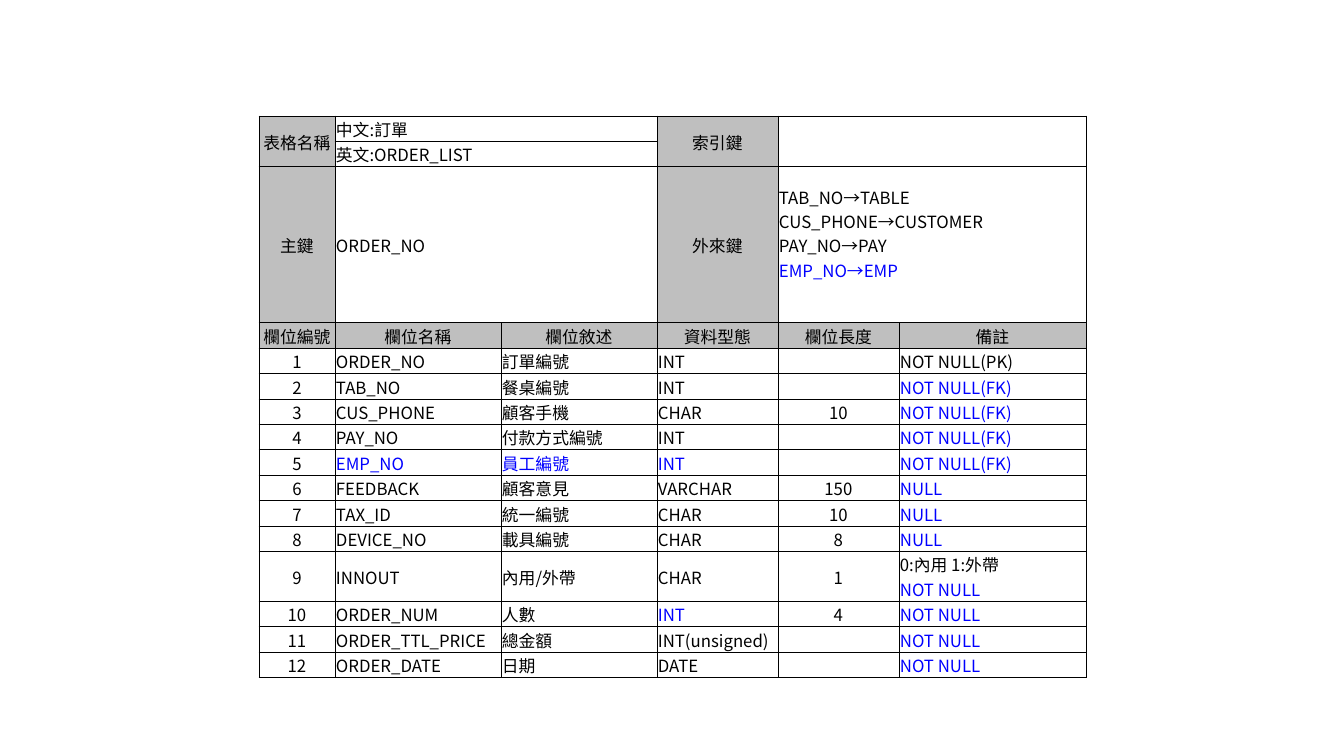
from lxml.etree import SubElement
from pptx import Presentation
from pptx.dml.color import RGBColor as RGB
from pptx.enum.text import MSO_ANCHOR as ANCHOR, PP_ALIGN as ALIGN
from pptx.oxml import parse_xml
from pptx.oxml.ns import nsdecls, qn
from pptx.util import Pt

SCALE = 914400 / 100.8
BLACK, BLUE = RGB(0, 0, 0), RGB(0, 0, 255)
GREY, WHITE = RGB(191, 191, 191), RGB(255, 255, 255)
FONT, SIZE = "Noto Sans CJK SC", 12
BLUE_MARK = "*"
COL_WIDTHS = [76, 166, 156, 121, 121, 187]
ROW_HEIGHT, KEY_ROW, KEY_HEIGHT = 22, 2, 156
LABEL_COLS, CENTRED_COLS = (0, 3), (0, 4)
MERGES = [(0, 0, 1, 0), (0, 1, 0, 2), (1, 1, 1, 2), (0, 3, 1, 3),
          (0, 4, 1, 5), (2, 1, 2, 2), (2, 4, 2, 5)]
KEYS = [
    ["表格名稱", "中文:訂單", "", "索引鍵", "", ""],
    ["", "英文:ORDER_LIST", "", "", "", ""],
    ["主鍵", "ORDER_NO", "", "外來鍵",
     "TAB_NO→TABLE\nCUS_PHONE→CUSTOMER\nPAY_NO→PAY\n*EMP_NO→EMP", ""],
]
HEADINGS = ["欄位編號", "欄位名稱", "欄位敘述", "資料型態", "欄位長度", "備註"]
FIELDS = [
    ["ORDER_NO", "訂單編號", "INT", "", "NOT NULL(PK)"],
    ["TAB_NO", "餐桌編號", "INT", "", "*NOT NULL(FK)"],
    ["CUS_PHONE", "顧客手機", "CHAR", "10", "*NOT NULL(FK)"],
    ["PAY_NO", "付款方式編號", "INT", "", "*NOT NULL(FK)"],
    ["*EMP_NO", "*員工編號", "*INT", "", "*NOT NULL(FK)"],
    ["FEEDBACK", "顧客意見", "VARCHAR", "150", "*NULL"],
    ["TAX_ID", "統一編號", "CHAR", "10", "*NULL"],
    ["DEVICE_NO", "載具編號", "CHAR", "8", "*NULL"],
    ["INNOUT", "內用/外帶", "CHAR", "1", "0:內用 1:外帶\n*NOT NULL"],
    ["ORDER_NUM", "人數", "*INT", "4", "*NOT NULL"],
    ["ORDER_TTL_PRICE", "總金額", "INT(unsigned)", "", "*NOT NULL"],
    ["ORDER_DATE", "日期", "DATE", "", "*NOT NULL"],
]


def px(n):
    """Turn pixels into EMU."""
    return round(n * SCALE)


def set_attrs(obj, values):
    """Set each attribute named in a dict."""
    for name, value in values.items():
        setattr(obj, name, value)


def add_line(p, line, align):
    """Write one line of cell text, blue when marked."""
    p.alignment = align
    if line:
        r = p.add_run()
        r.text = line.removeprefix(BLUE_MARK)
        set_attrs(r.font, {"name": FONT, "size": Pt(SIZE)})
        r.font.color.rgb = BLUE if line.startswith(BLUE_MARK) else BLACK
        SubElement(r.font._element, qn("a:ea"), typeface=FONT)
    SubElement(p._p, qn("a:endParaRPr"), sz=str(SIZE * 100))


def add_borders(cell):
    """Draw a thin black line on all four sides of a cell."""
    tc_pr = cell._tc.get_or_add_tcPr()
    for i, side in enumerate("LRTB"):
        tc_pr.insert(i, parse_xml(
            f'<a:ln{side} {nsdecls("a")} w="{Pt(0.5)}"><a:solidFill>'
            f'<a:srgbClr val="{BLACK}"/></a:solidFill></a:ln{side}>'))


def fill_cell(cell, text, fill, align):
    """Format one cell and write its lines."""
    set_attrs(cell, {"margin_left": px(1), "margin_right": px(1),
                     "margin_top": px(1), "margin_bottom": 0,
                     "vertical_anchor": ANCHOR.MIDDLE})
    cell.fill.solid()
    cell.fill.fore_color.rgb = fill
    add_borders(cell)
    tf = cell.text_frame
    for i, line in enumerate(text.split("\n")):
        add_line(tf.add_paragraph() if i else tf.paragraphs[0], line, align)


def add_field_table(slide, left, top):
    """Add the table of keys and fields."""
    numbered = [[str(n), *field] for n, field in enumerate(FIELDS, 1)]
    rows = KEYS + [HEADINGS] + numbered
    heights = [KEY_HEIGHT if i == KEY_ROW else ROW_HEIGHT
               for i in range(len(rows))]
    table = slide.shapes.add_table(
        len(rows), len(COL_WIDTHS), px(left), px(top),
        px(sum(COL_WIDTHS)), px(sum(heights))).table
    set_attrs(table, {"first_row": False, "horz_banding": False})
    for col, width in zip(table.columns, COL_WIDTHS):
        col.width = px(width)
    for row, height in zip(table.rows, heights):
        row.height = px(height)
    for i, row in enumerate(rows):
        for j, text in enumerate(row):
            label = i == len(KEYS) or (i < len(KEYS) and j in LABEL_COLS)
            centred = label or (i > len(KEYS) and j in CENTRED_COLS)
            fill_cell(table.cell(i, j), text, GREY if label else WHITE,
                      ALIGN.CENTER if centred else ALIGN.LEFT)
    for r1, c1, r2, c2 in MERGES:
        table.cell(r1, c1).merge(table.cell(r2, c2))
    table.cell(KEY_ROW, 4).margin_bottom = px(24)


def main():
    """Build the slide and save it."""
    prs = Presentation()
    set_attrs(prs, {"slide_width": px(1344), "slide_height": px(756)})
    slide = prs.slides.add_slide(prs.slide_layouts[6])
    add_field_table(slide, 259, 116)
    prs.save("out.pptx")


main()
